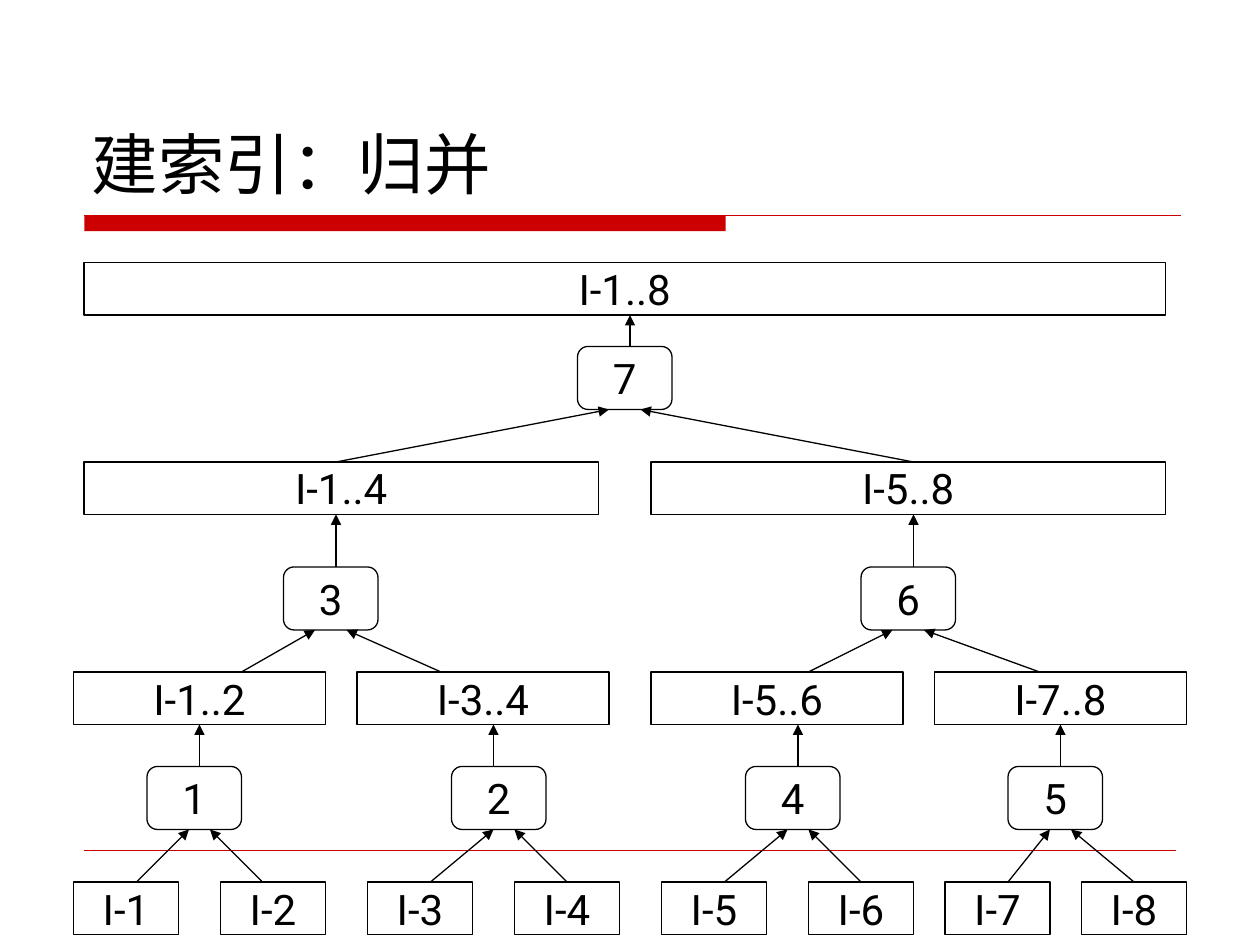
from lxml import etree
from pptx import Presentation, util as u
from pptx.dml.color import RGBColor
from pptx.enum import shapes, text
from pptx.oxml import ns

theme = {
    "ink": RGBColor(0x00, 0x00, 0x00),
    "paper": RGBColor(0xFF, 0xFF, 0xFF),
    "accent": RGBColor(0xCC, 0x00, 0x00),
    "title": {"name": "DejaVu Sans", "size": u.Pt(38)},
    "label": {"name": "Roboto", "size": u.Pt(24)},
    "outline": u.Pt(0.75),
    "hairline": u.Pt(0.25),
}

presentation = Presentation()
presentation.slide_width, presentation.slide_height = u.Cm(25.4), u.Cm(19.05)
slide = presentation.slides.add_slide(presentation.slide_layouts[6])


def add_line(start_x, start_y, end_x, end_y, color, width, arrow=False):
    connector = slide.shapes.add_connector(
        shapes.MSO_CONNECTOR.STRAIGHT, start_x, start_y, end_x, end_y)
    connector.line.color.rgb = color
    connector.line.width = width
    if arrow:
        etree.SubElement(connector.line._get_or_add_ln(), ns.qn("a:tailEnd"), type="triangle")
    etree.SubElement(connector._element.spPr, ns.qn("a:effectLst"))
    return connector


def write_text(shape, words, font_format, frame_format, alignment):
    for name, value in frame_format.items():
        setattr(shape.text_frame, name, value)
    paragraph = shape.text_frame.paragraphs[0]
    paragraph.alignment = alignment
    run = paragraph.add_run()
    run.text = words
    for name, value in font_format.items():
        setattr(run.font, name, value)
    run.font.color.rgb = theme["ink"]


# Title with its red band, and the footer rule
band = slide.shapes.add_shape(
    shapes.MSO_SHAPE.RECTANGLE, u.Cm(1.7), u.Cm(4.35), u.Cm(12.93), u.Cm(0.31))
band.shadow.inherit = False
band.fill.solid()
band.fill.fore_color.rgb = theme["accent"]
band.line.fill.background()
add_line(u.Cm(1.7), u.Cm(4.35), u.Cm(23.8), u.Cm(4.35), theme["accent"], theme["outline"])
add_line(u.Cm(1.7), u.Cm(17.15), u.Cm(23.7), u.Cm(17.15), theme["accent"], theme["hairline"])

title = slide.shapes.add_textbox(u.Cm(1.6), u.Cm(0.84), u.Cm(22.23), u.Cm(3.38))
write_text(title, "建索引：归并", theme["title"],
           {"word_wrap": True, "vertical_anchor": text.MSO_ANCHOR.BOTTOM},
           text.PP_ALIGN.LEFT)

# The merge tree lies on a grid of twelve steps to the inch
step = u.Cm(2.54 / 12)
index_box, merge_box = shapes.MSO_SHAPE.RECTANGLE, shapes.MSO_SHAPE.ROUNDED_RECTANGLE

# Rows from bottom to top: kind, top, width, height, {label: left}
rows = [
    (index_box, 84, 10, 5, {"I-1": 7, "I-2": 21, "I-3": 35, "I-4": 49,
                            "I-5": 63, "I-6": 77, "I-7": 90, "I-8": 103}),
    (merge_box, 73, 9, 6, {"1": 14, "2": 43, "4": 71, "5": 96}),
    (index_box, 64, 24, 5, {"I-1..2": 7, "I-3..4": 34, "I-5..6": 62, "I-7..8": 89}),
    (merge_box, 54, 9, 6, {"3": 27, "6": 82}),
    (index_box, 44, 49, 5, {"I-1..4": 8, "I-5..8": 62}),
    (merge_box, 33, 9, 6, {"7": 55}),
    (index_box, 25, 103, 5, {"I-1..8": 8}),
]
side_middles = {}
for kind, top, width, height, labels in rows:
    for label, left in labels.items():
        shape = slide.shapes.add_shape(
            kind, left * step, top * step, width * step, height * step)
        shape.shadow.inherit = False
        shape.fill.solid()
        shape.fill.fore_color.rgb = theme["paper"]
        shape.line.color.rgb = theme["ink"]
        shape.line.width = theme["outline"]
        write_text(shape, label, theme["label"],
                   {"word_wrap": False, "vertical_anchor": text.MSO_ANCHOR.MIDDLE},
                   text.PP_ALIGN.CENTER)
        middle = left + width / 2
        side_middles[middle, top] = (shape, 0)
        side_middles[middle, top + height] = (shape, 2)

# Arrows between rows: start height, end height, (start, end) across
arrows = [
    (84, 79, [(13, 18), (25, 20), (41, 47), (54, 49),
              (69, 75), (82, 77), (96, 100), (108, 102)]),
    (73, 69, [(19, 19), (47, 47), (76, 76), (101, 101)]),
    (64, 60, [(23, 30), (42, 33), (77, 85), (99, 88)]),
    (54, 49, [(32, 32), (87, 87)]),
    (44, 39, [(32, 58), (87, 61)]),
    (33, 30, [(60, 60)]),
]
for start_y, end_y, spans in arrows:
    for start_x, end_x in spans:
        connector = add_line(start_x * step, start_y * step, end_x * step, end_y * step,
                             theme["ink"], theme["outline"], arrow=True)
        if (start_x, start_y) in side_middles:
            connector.begin_connect(*side_middles[start_x, start_y])
        if (end_x, end_y) in side_middles:
            connector.end_connect(*side_middles[end_x, end_y])

presentation.save("out.pptx")
